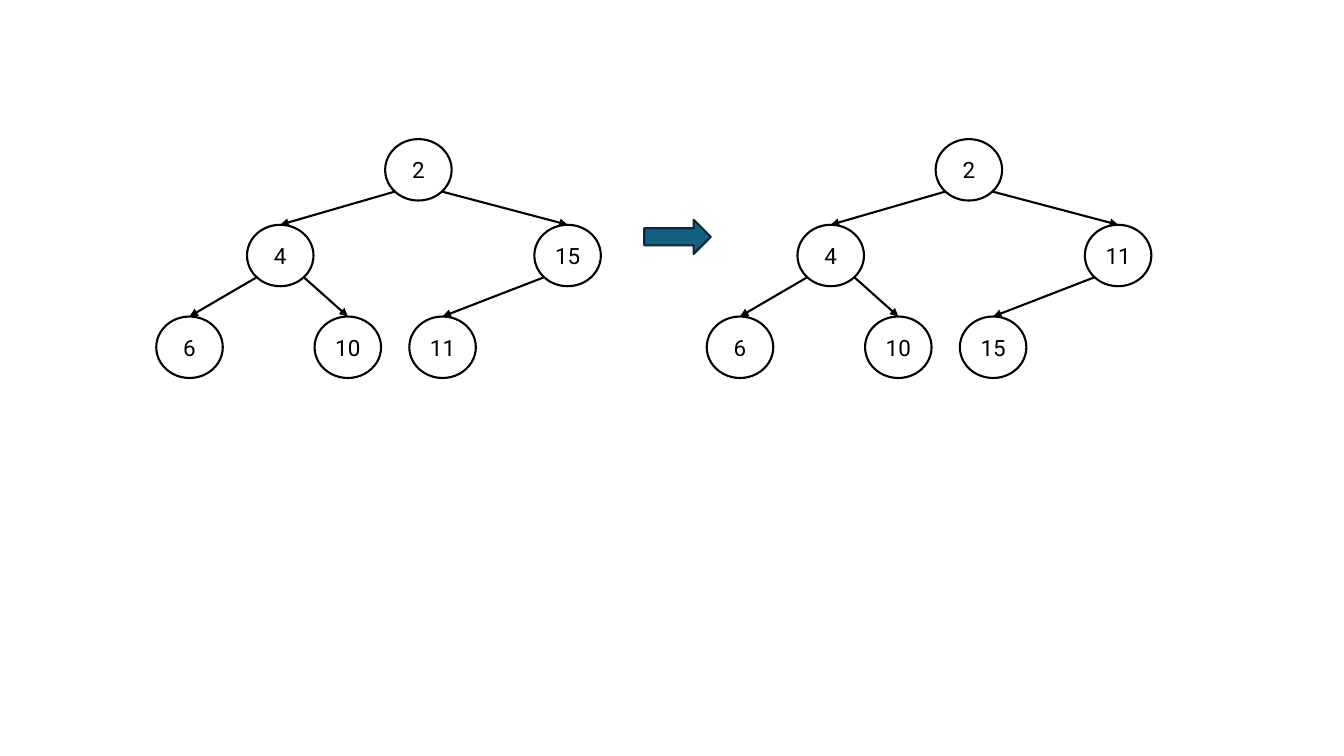
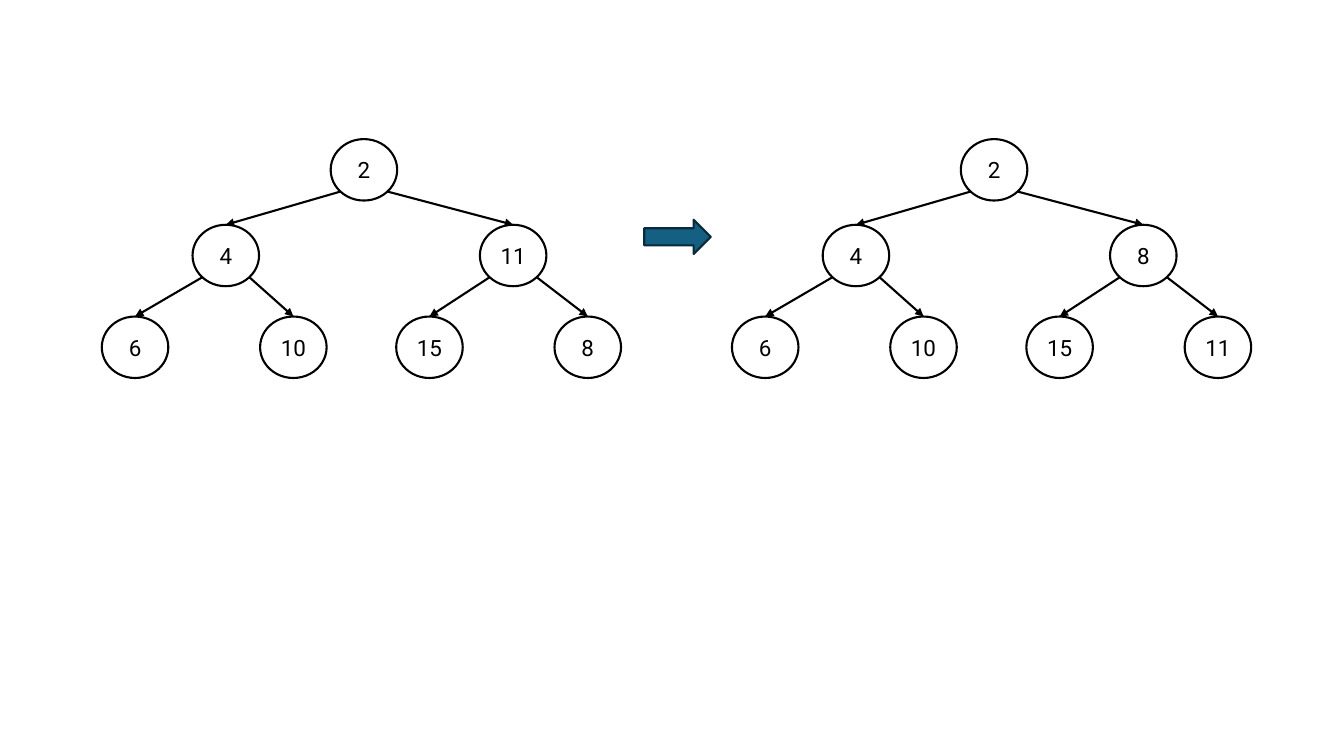
import math
from dataclasses import dataclass

from lxml import etree
from pptx import Presentation
from pptx import util as u
from pptx.dml.color import RGBColor
from pptx.enum import shapes, text
from pptx.oxml import ns

FONT = "Roboto"
BLACK, WHITE = "000000", "FFFFFF"
ARROW_FILL, ARROW_LINE = "156082", "092A39"
LINE_WIDTH = 1.5

NODE_WIDTH, NODE_HEIGHT = 0.66, 0.61
LEVEL_TOPS = (1.38, 2.23, 3.14)
# Left edges relative to the root, in heap order
FULL_OFFSETS = (0, -1.37, 1.48, -2.27, -0.7, 0.65, 2.22)
PARTIAL_OFFSETS = (0, -1.37, 1.48, -2.27, -0.7, 0.24)


@dataclass(frozen=True)
class Heap:
    root_left: float
    values: tuple[int, ...]
    offsets: tuple[float, ...]


SLIDES = (
    (Heap(3.82, (2, 4, 15, 6, 10, 11), PARTIAL_OFFSETS),
     Heap(9.28, (2, 4, 11, 6, 10, 15), PARTIAL_OFFSETS)),
    (Heap(3.28, (2, 4, 11, 6, 10, 15, 8), FULL_OFFSETS),
     Heap(9.53, (2, 4, 8, 6, 10, 15, 11), FULL_OFFSETS)),
)


def color(value: str) -> RGBColor:
    return RGBColor.from_string(value)


def style_line(line, line_color: str) -> None:
    line.color.rgb = color(line_color)
    line.width = u.Pt(LINE_WIDTH)


def add_shape(slide, kind, left: float, top: float, width: float, height: float,
              fill: str, line: str):
    shape = slide.shapes.add_shape(
        kind, u.Inches(left), u.Inches(top), u.Inches(width), u.Inches(height))
    shape.shadow.inherit = False
    shape.fill.solid()
    shape.fill.fore_color.rgb = color(fill)
    style_line(shape.line, line)
    return shape


def write_text(shape, content: str, *, size: float = 16, font: str = FONT,
               font_color: str = BLACK, align=text.PP_ALIGN.CENTER) -> None:
    frame = shape.text_frame
    frame.word_wrap = False
    frame.margin_left = frame.margin_right = 0
    frame.vertical_anchor = text.MSO_ANCHOR.MIDDLE
    paragraph = frame.paragraphs[0]
    paragraph.alignment = align
    run = paragraph.add_run()
    run.text = content
    run.font.size = u.Pt(size)
    run.font.name = font
    run.font.color.rgb = color(font_color)


def add_edge(slide, parent, child) -> None:
    """Draw an arrow from the parent's lower diagonal to the child's top."""
    side = 1 if child.left > parent.left else -1
    diagonal = math.sqrt(0.5)
    start_x = parent.left + int(parent.width / 2 * (1 + side * diagonal))
    start_y = parent.top + int(parent.height / 2 * (1 + diagonal))
    edge = slide.shapes.add_connector(
        shapes.MSO_CONNECTOR.STRAIGHT, start_x, start_y,
        child.left + child.width // 2, child.top)
    edge.end_connect(child, 0)
    style_line(edge.line, BLACK)
    properties = edge.line._get_or_add_ln()
    etree.SubElement(properties, ns.qn("a:tailEnd"), type="triangle")
    etree.SubElement(edge._element.spPr, ns.qn("a:effectLst"))


def add_heap(slide, heap: Heap) -> None:
    nodes = []
    for index, (value, offset) in enumerate(zip(heap.values, heap.offsets)):
        level = int(math.log2(index + 1))
        node = add_shape(slide, shapes.MSO_SHAPE.OVAL, heap.root_left + offset,
                         LEVEL_TOPS[level], NODE_WIDTH, NODE_HEIGHT, WHITE, BLACK)
        write_text(node, str(value))
        if index:
            add_edge(slide, nodes[(index - 1) // 2], node)
        nodes.append(node)


def main() -> None:
    presentation = Presentation()
    presentation.slide_width = u.Inches(13.33)
    presentation.slide_height = u.Inches(7.5)
    blank_layout = presentation.slide_layouts[6]
    for heaps in SLIDES:
        slide = presentation.slides.add_slide(blank_layout)
        for heap in heaps:
            add_heap(slide, heap)
        add_shape(slide, shapes.MSO_SHAPE.RIGHT_ARROW, 6.39, 2.18, 0.66, 0.34,
                  ARROW_FILL, ARROW_LINE)
    presentation.save("out.pptx")


if __name__ == "__main__":
    main()
